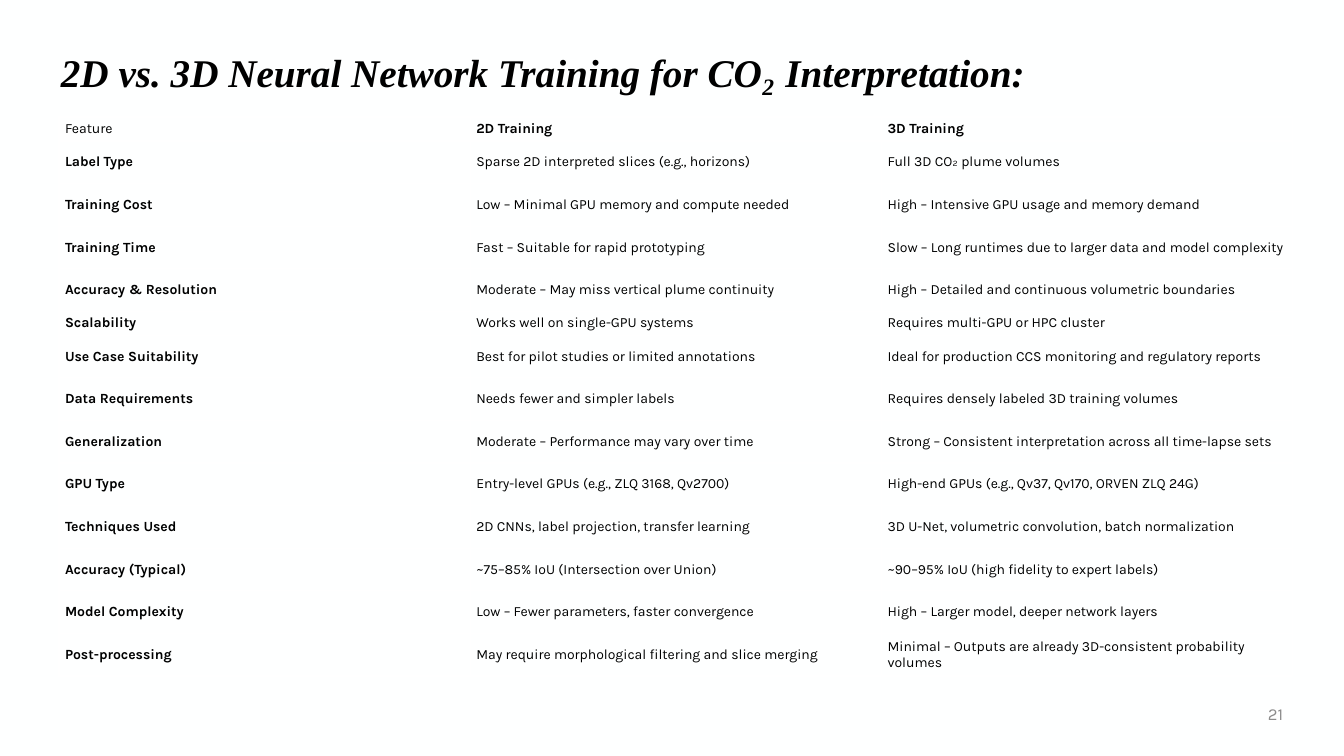
"""Build a slide that compares 2D and 3D network training in a table."""
import pptx
import pptx.dml.color
import pptx.enum.text
import pptx.util

RGB = pptx.dml.color.RGBColor
ANCHOR = pptx.enum.text.MSO_ANCHOR
ALIGN = pptx.enum.text.PP_ALIGN

TITLE = "2D vs. 3D Neural Network Training for CO₂ Interpretation:"
PAGE = "21"
ROWS = [
    ("Feature", "2D Training", "3D Training"),
    ("Label Type", "Sparse 2D interpreted slices (e.g., horizons)", "Full 3D CO₂ plume volumes"),
    ("Training Cost", "Low – Minimal GPU memory and compute needed",
     "High – Intensive GPU usage and memory demand"),
    ("Training Time", "Fast – Suitable for rapid prototyping",
     "Slow – Long runtimes due to larger data and model complexity"),
    ("Accuracy & Resolution", "Moderate – May miss vertical plume continuity",
     "High – Detailed and continuous volumetric boundaries"),
    ("Scalability", "Works well on single-GPU systems", "Requires multi-GPU or HPC cluster"),
    ("Use Case Suitability", "Best for pilot studies or limited annotations",
     "Ideal for production CCS monitoring and regulatory reports"),
    ("Data Requirements", "Needs fewer and simpler labels",
     "Requires densely labeled 3D training volumes"),
    ("Generalization", "Moderate – Performance may vary over time",
     "Strong – Consistent interpretation across all time-lapse sets"),
    ("GPU Type", "Entry-level GPUs (e.g., ZLQ 3168, Qv2700)",
     "High-end GPUs (e.g., Qv37, Qv170, ORVEN ZLQ 24G)"),
    ("Techniques Used", "2D CNNs, label projection, transfer learning",
     "3D U-Net, volumetric convolution, batch normalization"),
    ("Accuracy (Typical)", "~75–85% IoU (Intersection over Union)",
     "~90–95% IoU (high fidelity to expert labels)"),
    ("Model Complexity", "Low – Fewer parameters, faster convergence",
     "High – Larger model, deeper network layers"),
    ("Post-processing", "May require morphological filtering and slice merging",
     "Minimal – Outputs are already 3D-consistent probability volumes"),
]
SLIM = {"Feature", "Scalability"}

BLACK = RGB(0x00, 0x00, 0x00)
GREY = RGB(0x8C, 0x8C, 0x8C)
PAPER = RGB(0xFE, 0xFF, 0xFF)

WIDE, HIGH = 1344, 756
TITLE_BOX = (51, 42, 1242, 65)
PAGE_BOX = (1172, 694, 121, 40)
GRID_BOX = (59, 117, 1234, 559)
SLIM_ROW = 24
PAD_X, PAD_Y = 6, 3


def px(size):
    """Turn pixels into EMU."""
    return pptx.util.Emu(round(size * 914400 / 100.8))


def style(para, size, face, color, bold=False, slant=False):
    """Format every run of a paragraph."""
    for run in para.runs:
        font = run.font
        font.size = pptx.util.Pt(size)
        font.name = face
        font.color.rgb = color
        font.bold = bold
        font.italic = slant


def add_text(slide, box, text):
    """Add a wrapped, middle-anchored text box and return its paragraph."""
    frame = slide.shapes.add_textbox(*map(px, box)).text_frame
    frame.word_wrap = True
    frame.vertical_anchor = ANCHOR.MIDDLE
    frame.text = text
    return frame.paragraphs[0]


def add_grid(slide):
    """Add the feature table with slim and tall rows."""
    shape = slide.shapes.add_table(len(ROWS), len(ROWS[0]), *map(px, GRID_BOX))
    table = shape.table
    table.horz_banding = False
    table.first_row = False
    for col in table.columns:
        col.width = px(GRID_BOX[2] / len(ROWS[0]))
    tall = (GRID_BOX[3] - len(SLIM) * SLIM_ROW) / (len(ROWS) - len(SLIM))
    for r, row in enumerate(ROWS):
        table.rows[r].height = px(SLIM_ROW if row[0] in SLIM else tall)
        for c, text in enumerate(row):
            cell = table.cell(r, c)
            cell.fill.background()
            cell.vertical_anchor = ANCHOR.MIDDLE
            cell.margin_left = cell.margin_right = px(PAD_X)
            cell.margin_top = cell.margin_bottom = px(PAD_Y)
            cell.text_frame.text = text
            bold = (r == 0) != (c == 0)
            style(cell.text_frame.paragraphs[0], 10, "Karla", BLACK, bold)


def main():
    """Build and save the slide."""
    deck = pptx.Presentation()
    deck.slide_width, deck.slide_height = px(WIDE), px(HIGH)
    slide = deck.slides.add_slide(deck.slide_layouts[6])
    slide.background.fill.solid()
    slide.background.fill.fore_color.rgb = PAPER

    title = add_text(slide, TITLE_BOX, TITLE)
    title.line_spacing = 0.9
    style(title, 28, "Times New Roman", BLACK, True, True)

    page = add_text(slide, PAGE_BOX, PAGE)
    page.alignment = ALIGN.RIGHT
    page.space_after = pptx.util.Pt(6)
    style(page, 12, "Karla", GREY)

    add_grid(slide)
    deck.save("out.pptx")


if __name__ == "__main__":
    main()
